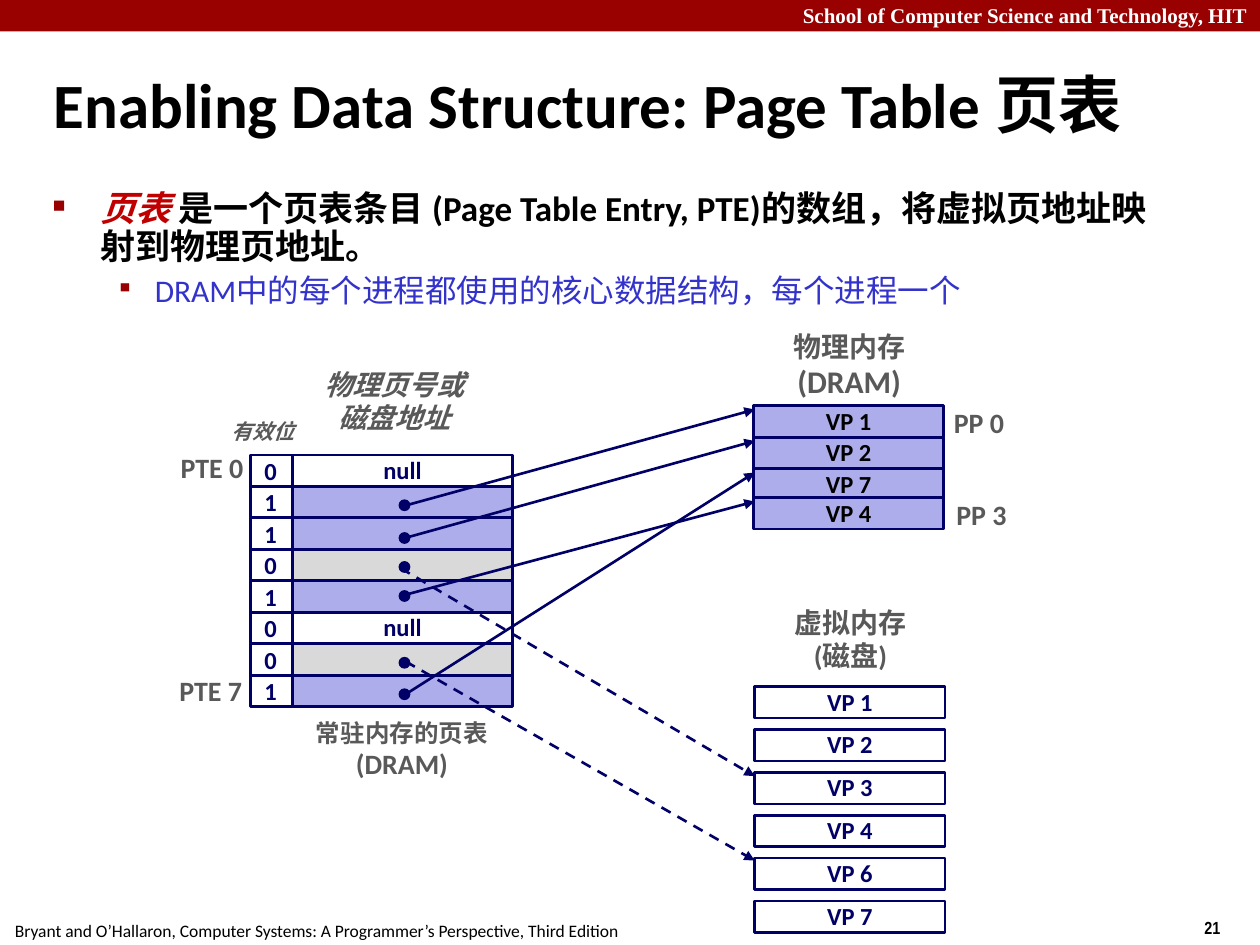
from lxml import etree
from pptx import Presentation
from pptx.dml.color import RGBColor
from pptx.enum.dml import MSO_LINE
from pptx.enum.shapes import MSO_CONNECTOR, MSO_SHAPE
from pptx.enum.text import MSO_ANCHOR, MSO_AUTO_SIZE, PP_ALIGN
from pptx.oxml.ns import qn
from pptx.util import Inches, Pt

LEFT, CENTER, RIGHT = PP_ALIGN.LEFT, PP_ALIGN.CENTER, PP_ALIGN.RIGHT
TOP, MIDDLE = MSO_ANCHOR.TOP, MSO_ANCHOR.MIDDLE
RECT, OVAL = MSO_SHAPE.RECTANGLE, MSO_SHAPE.OVAL
STRAIGHT = MSO_CONNECTOR.STRAIGHT
FIT_TEXT, DASH = MSO_AUTO_SIZE.SHAPE_TO_FIT_TEXT, MSO_LINE.DASH

COLORS = {
    "crimson": "990000", "red": "C00000", "black": "000000", "white": "FFFFFF",
    "navy": "000066", "blue": "3333CC", "lilac": "ADADEB", "silver": "D9D9D9",
    "gray": "595959",
}


def write(shape, paragraphs, color, align=LEFT, anchor=TOP, wrap=False,
          bold=True, italic=False, font="Calibri", spacing=0.98):
    """Fill a shape with paragraphs, each given as (text, size)."""
    frame = shape.text_frame
    frame.word_wrap = wrap
    frame.vertical_anchor = anchor
    for i, (text, size) in enumerate(paragraphs):
        paragraph = frame.add_paragraph() if i else frame.paragraphs[0]
        paragraph.alignment = align
        paragraph.line_spacing = spacing
        run = paragraph.add_run()
        run.text = text
        run.font.name = font
        run.font.size = Pt(size)
        run.font.bold = bold
        run.font.italic = italic
        run.font.color.rgb = RGBColor.from_string(COLORS[color])


def add_block(kind, left, top, width, height, fill=None, line="navy", weight=1.5):
    block = slide.shapes.add_shape(
        kind, Inches(left), Inches(top), Inches(width), Inches(height))
    block.shadow.inherit = False
    if fill:
        block.fill.solid()
        block.fill.fore_color.rgb = RGBColor.from_string(COLORS[fill])
    else:
        block.fill.background()
    if line:
        block.line.color.rgb = RGBColor.from_string(COLORS[line])
        block.line.width = Pt(weight)
    else:
        block.line.fill.background()
    return block


prs = Presentation()
prs.slide_width, prs.slide_height = Inches(10), Inches(7.5)
slide = prs.slides.add_slide(prs.slide_layouts[6])

# Header band, footer and title
add_block(RECT, 0, 0, 10, 0.25, "crimson", None)
FOOTER = "Bryant and O’Hallaron, Computer Systems: A Programmer’s Perspective, Third Edition"
page_texts = [
    ((9.46, 7.23, 0.75, 0.27), "21", 10,
     dict(color="black", font="Arial Narrow")),
    ((0.02, 7.25, 5.01, 0.27), FOOTER, 10, dict(color="black", bold=False)),
    ((0, -0.03, 10, 0.3), "School of Computer Science and Technology, HIT", 12,
     dict(color="white", align=RIGHT, wrap=True, font="Times New Roman")),
    ((0.33, 0.39, 9.06, 0.86), "Enabling Data Structure: Page Table 页表", 36,
     dict(color="black", anchor=MIDDLE, wrap=True)),
]
for place, text, size, style in page_texts:
    box = slide.shapes.add_textbox(*map(Inches, place))
    write(box, [(text, size)], spacing=1, **style)

# Bulleted definition: level, indent, hanging, space before, bullet, bullet size, runs
bullets = [
    (0, 0.38, 0.38, 0, "■", 50, [
        ("页表 ", 20, "red", True, True),
        ("是一个页表条目 (Page Table Entry, PTE)的数组，将虚拟页地址映射到物理页地址。",
         20, "black", True, False)]),
    (1, 0.81, 0.31, 4.5, "▪", 80, [
        ("DRAM中的每个进程都使用的核心数据结构，每个进程一个", 18, "blue", False, False)]),
]
definition = slide.shapes.add_textbox(
    Inches(0.32), Inches(1.47), Inches(9.09), Inches(1.41)).text_frame
definition.word_wrap = True
for level, indent, hanging, before, mark, mark_size, runs in bullets:
    paragraph = definition.add_paragraph() if level else definition.paragraphs[0]
    paragraph.level = level
    paragraph.line_spacing = 0.9
    paragraph.space_before = Pt(before)
    props = paragraph._p.get_or_add_pPr()
    props.set("marL", str(Inches(indent)))
    props.set("indent", str(-Inches(hanging)))
    mark_color = etree.SubElement(props, qn("a:buClr"))
    etree.SubElement(mark_color, qn("a:srgbClr"), val=COLORS["crimson"])
    etree.SubElement(props, qn("a:buSzPct"), val=str(mark_size * 1000))
    etree.SubElement(props, qn("a:buChar"), char=mark)
    for text, size, color, bold, italic in runs:
        run = paragraph.add_run()
        run.text = text
        run.font.name = "Calibri"
        run.font.size = Pt(size)
        run.font.bold = bold
        run.font.italic = italic
        run.font.color.rgb = RGBColor.from_string(COLORS[color])

# Page table: valid bit, fill and content of each entry
ROW = 0.25
TABLE_TOP = 3.61
entries = [
    ("0", "white", "null"), ("1", "lilac", ""), ("1", "lilac", ""),
    ("0", "silver", ""), ("1", "lilac", ""), ("0", "white", "null"),
    ("0", "silver", ""), ("1", "lilac", ""),
]
for i, (valid, fill, content) in enumerate(entries):
    top = TABLE_TOP + i * ROW
    address = add_block(RECT, 2.32, top, 1.75, ROW, fill)
    if content:
        write(address, [(content, 14)], "navy", CENTER, MIDDLE)
    add_block(RECT, 1.99, top, 0.33, ROW)
    bit = slide.shapes.add_textbox(
        Inches(2), Inches(top - 0.03), Inches(0.3), Inches(0.33))
    write(bit, [(valid, 14)], "navy")
    bit.text_frame.auto_size = FIT_TEXT

# Pages in physical memory and on disk
for top, page in zip((3.22, 3.47, 3.72, 3.95), ("VP 1", "VP 2", "VP 7", "VP 4")):
    frame_block = add_block(RECT, 5.98, top, 1.51, ROW, "lilac")
    write(frame_block, [(page, 14)], "black", CENTER, MIDDLE)
for i, number in enumerate((1, 2, 3, 4, 6, 7)):
    disk_page = add_block(RECT, 5.99, 5.45 + i * 0.34, 1.51, ROW, "white")
    write(disk_page, [(f"VP {number}", 14)], "navy", CENTER, MIDDLE)

# Pointers from entries to pages: dot top, start, end height, on disk
pointers = [
    (3.97, (3.19, 4.02), 3.25, False),
    (4.23, (3.25, 4.26), 3.5, False),
    (4.46, (3.18, 4.51), 6.16, True),
    (4.69, (3.22, 4.72), 3.98, False),
    (5.22, (3.22, 5.25), 6.83, True),
    (5.47, (3.22, 5.51), 3.75, False),
]
for dot_top, (start_x, start_y), end_y, on_disk in pointers:
    add_block(OVAL, 3.17, dot_top, 0.08, 0.08, "navy", weight=1)
    pointer = slide.shapes.add_connector(
        STRAIGHT, Inches(start_x), Inches(start_y), Inches(5.99), Inches(end_y))
    pointer.line.color.rgb = RGBColor.from_string(COLORS["navy"])
    pointer.line.width = Pt(1.5)
    if on_disk:
        pointer.line.dash_style = DASH
    etree.SubElement(pointer.line._get_or_add_ln(), qn("a:tailEnd"), type="triangle")
    etree.SubElement(pointer._element.spPr, qn("a:effectLst"))

# Captions around the diagram
captions = [
    ((2.38, 5.66, 1.62, 0.59), [("常驻内存的页表", 14), ("(DRAM)", 16)], CENTER, TOP, False),
    ((6.17, 2.58, 1.14, 0.66), [("物理内存", 16), ("(DRAM)", 18)], CENTER, TOP, False),
    ((6.18, 4.77, 1.14, 0.62), [("虚拟内存", 16), ("(磁盘)", 16)], CENTER, TOP, False),
    ((1.74, 3.28, 0.75, 0.3), [("有效位", 12)], LEFT, TOP, True),
    ((2.47, 2.88, 1.32, 0.62), [("物理页号或", 16), ("磁盘地址", 16)], CENTER, MIDDLE, True),
    ((1.33, 3.54, 0.7, 0.36), [("PTE 0", 16)], RIGHT, MIDDLE, False),
    ((1.32, 5.31, 0.7, 0.36), [("PTE 7", 16)], RIGHT, MIDDLE, False),
    ((7.47, 3.18, 0.6, 0.36), [("PP 0", 16)], CENTER, MIDDLE, False),
    ((7.49, 3.91, 0.6, 0.36), [("PP 3", 16)], CENTER, MIDDLE, False),
]
for place, lines, align, anchor, italic in captions:
    caption = slide.shapes.add_textbox(*map(Inches, place))
    write(caption, lines, "gray", align, anchor, italic=italic)
    caption.text_frame.auto_size = FIT_TEXT

prs.save("out.pptx")
